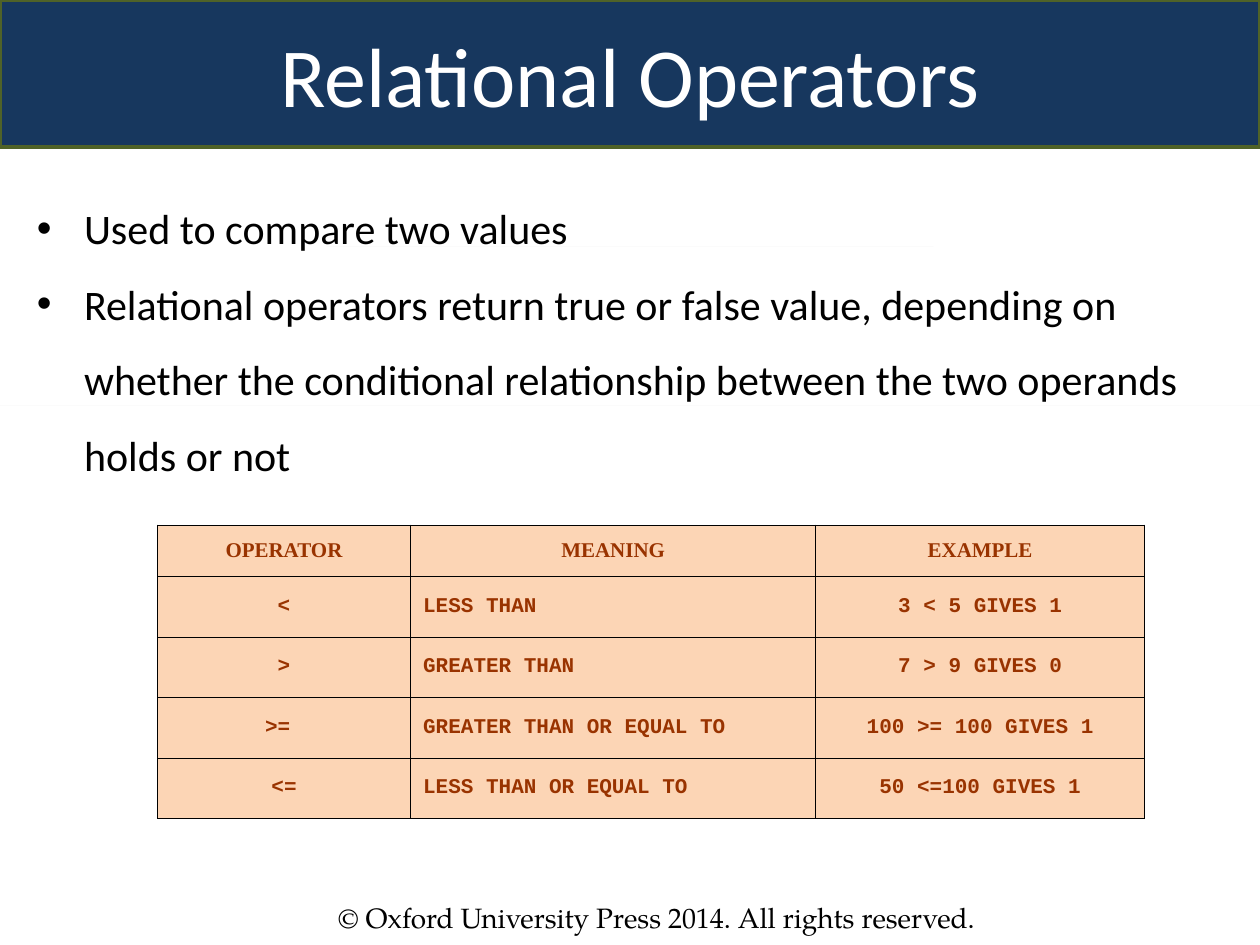
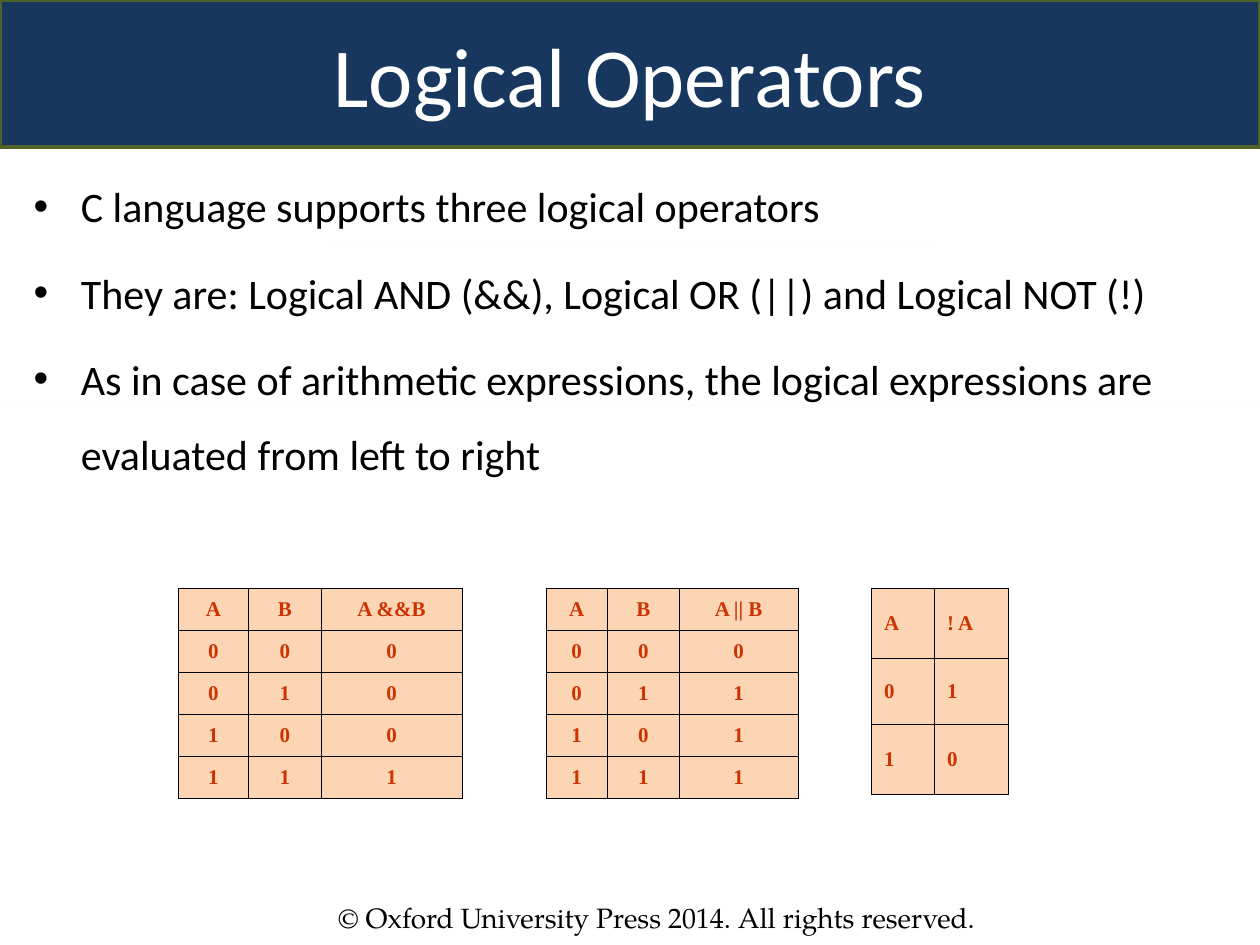
from lxml import etree
from pptx import Presentation, util as u
from pptx.dml.color import RGBColor
from pptx.enum import shapes, text
from pptx.oxml import ns

NAVY = RGBColor(0x17, 0x37, 0x5E)
GREEN = RGBColor(0x4F, 0x62, 0x28)
PEACH = RGBColor(0xFC, 0xD5, 0xB5)
BROWN = RGBColor(0x99, 0x33, 0x00)
RED = RGBColor(0xCC, 0x33, 0x00)
GREY = RGBColor(0xE6, 0xE6, 0xE6)
BLACK = RGBColor(0, 0, 0)
WHITE = RGBColor(0xFF, 0xFF, 0xFF)

SANS, SERIF, MONO = "Calibri", "Times New Roman", "Courier New"
LEFT, MID, JUST = (text.PP_ALIGN.LEFT, text.PP_ALIGN.CENTER,
                   text.PP_ALIGN.JUSTIFY)

# The slide is a grid of 120 columns and 90 rows; all places are in its cells.
COLS, ROWS = 120, 90
CELL = u.Inches(10) / COLS
BAND = (0, 0, COLS, 14)
HAIRS = [(0, 38.64, COLS, 0), (31.1, 23.5, 57.8, 0)]
FOOT = (31, 85.2, 71, 4.4)
TRUTH = 56  # top of the truth tables

NOTICE = "© Oxford University Press 2014. All rights reserved."

SLIDES = [
    {"title": "Relational Operators",
     "box": (2.3, 16.3, 115.7, 30), "gap": 0,
     "points": [
         "Used to compare two values",
         "Relational operators return true or false value, depending on "
         "whether the conditional relationship between the two operands "
         "holds or not"],
     "tables": [
         {"at": (15, 50), "cols": (24.1, 38.6, 31.3),
          "rows": (4.9,) + (5.77,) * 4,
          "color": BROWN, "font": MONO, "head": MID,
          "align": (MID, LEFT, MID),
          "cells": [
              ("OPERATOR", "MEANING", "EXAMPLE"),
              ("<", "LESS THAN", "3 < 5 GIVES 1"),
              (">", "GREATER THAN", "7 > 9 GIVES 0"),
              (">= ", "GREATER THAN OR EQUAL TO", "100 >= 100 GIVES 1"),
              ("<=", "LESS THAN OR EQUAL TO", "50 <=100 GIVES 1")]}]},
    {"title": "Logical Operators",
     "box": (2, 14.23, 115, 33.4), "gap": 6,
     "points": [
         "C language supports three logical operators",
         "They are: Logical AND (&&), Logical OR (||) and Logical NOT (!)",
         "As in case of arithmetic expressions, the logical expressions are "
         "evaluated from left to right"],
     "tables": [
         {"at": (17, TRUTH), "cols": (6.65, 6.95, 13.4), "rows": (4.01,) * 5,
          "color": RED, "font": SERIF, "head": MID, "align": (MID,) * 3,
          "cells": [("A", "B", "A &&B"), "000", "010", "100", "111"]},
         {"at": (52, TRUTH), "cols": (5.84, 6.86, 11.3), "rows": (4.01,) * 5,
          "color": RED, "font": SERIF, "head": MID, "align": (MID,) * 3,
          "cells": [("A", "B", "A || B"), "000", "011", "101", "111"]},
         {"at": (83, TRUTH), "cols": (6, 7), "rows": (6.7, 6.3, 6.7),
          "color": RED, "font": SERIF, "head": JUST, "align": (JUST,) * 2,
          "cells": [("A", "! A "), "01", "10"]}]},
]


def grid(*cells):
    return [u.Emu(round(n * CELL)) for n in cells]


def place(shape, box):
    shape.left, shape.top, shape.width, shape.height = grid(*box)


def style(para, font, size, color, bold=False):
    for run in para.runs:
        run.font.name, run.font.size = font, u.Pt(size)
        run.font.color.rgb, run.font.bold = color, bold


def paint(shape, color):
    shape.fill.solid()
    shape.fill.fore_color.rgb = color


def add_title(slide, words):
    """Fill the title placeholder and turn it into the top band."""
    title = slide.shapes.title
    place(title, BAND)
    paint(title, NAVY)
    title.line.color.rgb = GREEN
    title.line.width = u.Pt(2)
    frame = title.text_frame
    frame.text = words
    frame.auto_size = text.MSO_AUTO_SIZE.NONE
    frame.vertical_anchor = text.MSO_ANCHOR.MIDDLE
    frame.paragraphs[0].alignment = MID
    style(frame.paragraphs[0], SANS, 48, WHITE)


def add_hairs(slide):
    """Lay the flat grey bars across the page."""
    for box in HAIRS:
        bar = slide.shapes.add_shape(shapes.MSO_SHAPE.RECTANGLE, *grid(*box))
        bar.shadow.inherit = False
        paint(bar, GREY)
        bar.line.fill.background()


def add_points(slide, points, box, gap):
    body = slide.placeholders[1]
    place(body, box)
    frame = body.text_frame
    frame.text = "\n".join(points)
    frame.auto_size = text.MSO_AUTO_SIZE.NONE
    for i, para in enumerate(frame.paragraphs):
        para.line_spacing = 1.5
        para.space_before = u.Pt(gap if i else 0)
        style(para, SANS, 24, BLACK)


def add_foot(slide):
    frame = slide.shapes.add_textbox(*grid(*FOOT)).text_frame
    frame.word_wrap = True
    frame.text = NOTICE
    style(frame.paragraphs[0], "TeX Gyre Pagella", 16, BLACK)


def rule(cell):
    """Draw a thin black line on each side of a cell."""
    props = cell._tc.get_or_add_tcPr()
    for side in ("lnL", "lnR", "lnT", "lnB"):
        line = etree.SubElement(props, ns.qn("a:" + side),
                                w=str(u.Pt(0.45)))
        fill = etree.SubElement(line, ns.qn("a:solidFill"))
        etree.SubElement(fill, ns.qn("a:srgbClr"), val=str(BLACK))


def add_table(slide, data):
    cols, rows = data["cols"], data["rows"]
    box = grid(*data["at"], sum(cols), sum(rows))
    table = slide.shapes.add_table(len(rows), len(cols), *box).table
    table.first_row = table.horz_banding = False
    for col, width in zip(table.columns, grid(*cols)):
        col.width = width
    for row, height in zip(table.rows, grid(*rows)):
        row.height = height
    for r, words in enumerate(data["cells"]):
        for c, word in enumerate(words):
            cell = table.cell(r, c)
            rule(cell)
            paint(cell, PEACH)
            cell.vertical_anchor = text.MSO_ANCHOR.MIDDLE
            cell.text_frame.text = word
            para = cell.text_frame.paragraphs[0]
            para.alignment = data["align"][c] if r else data["head"]
            style(para, data["font"] if r else SERIF, 12, data["color"], True)


def main():
    deck = Presentation()
    deck.slide_width, deck.slide_height = grid(COLS, ROWS)
    for page in SLIDES:
        slide = deck.slides.add_slide(deck.slide_layouts[1])
        add_title(slide, page["title"])
        add_hairs(slide)
        add_points(slide, page["points"], page["box"], page["gap"])
        for data in page["tables"]:
            add_table(slide, data)
        add_foot(slide)
    deck.save("out.pptx")


if __name__ == "__main__":
    main()
